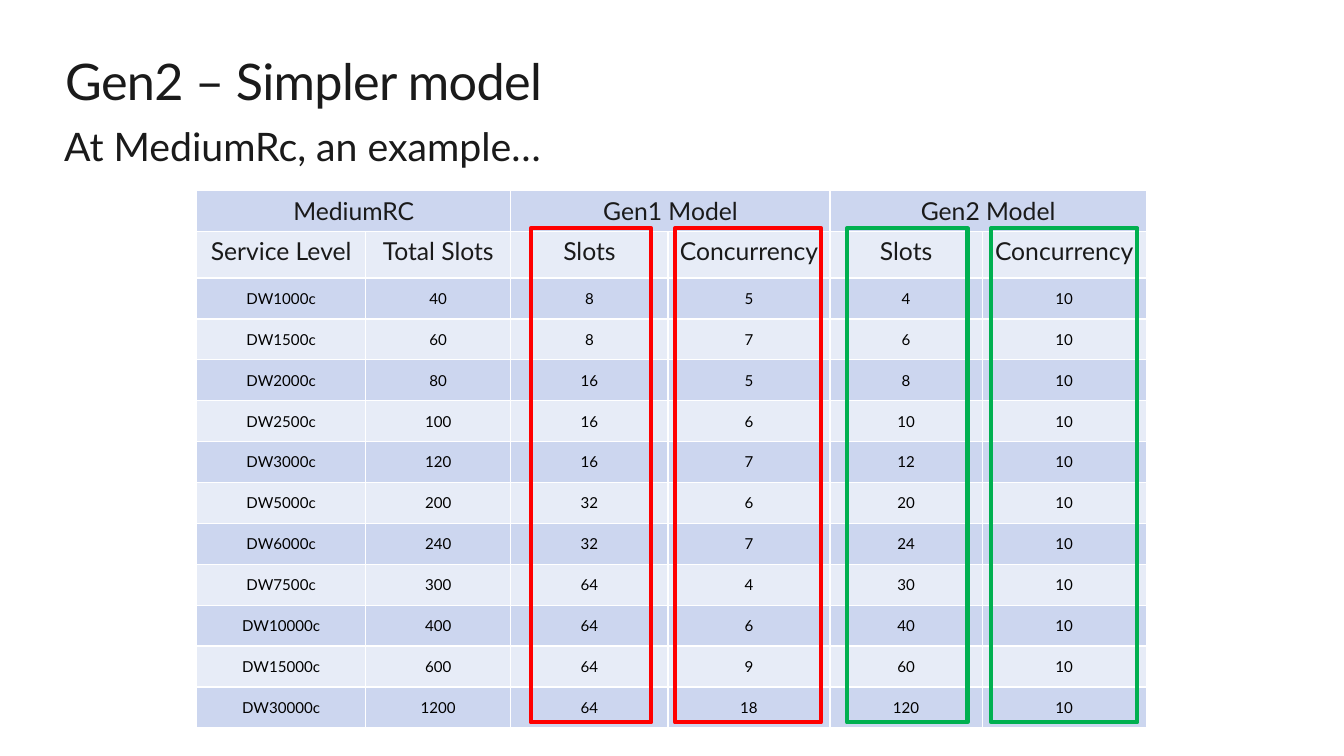
from dataclasses import dataclass

from lxml import etree
from pptx import Presentation
from pptx.dml.color import RGBColor
from pptx.enum.shapes import MSO_SHAPE
from pptx.enum.text import MSO_ANCHOR, PP_ALIGN
from pptx.oxml.ns import qn
from pptx.util import Inches, Pt

CENTER = PP_ALIGN.CENTER
TOP, MIDDLE = MSO_ANCHOR.TOP, MSO_ANCHOR.MIDDLE
RECTANGLE = MSO_SHAPE.RECTANGLE

TITLE = "Gen2 – Simpler model"
SUBTITLE = "At MediumRc, an example…"
GROUPS = ["MediumRC", "Gen1 Model", "Gen2 Model"]
HEADINGS = ["Service Level", "Total Slots", "Slots", "Concurrency", "Slots", "Concurrency"]
LEVELS = [
    ("DW1000c", 40, 8, 5, 4, 10),
    ("DW1500c", 60, 8, 7, 6, 10),
    ("DW2000c", 80, 16, 5, 8, 10),
    ("DW2500c", 100, 16, 6, 10, 10),
    ("DW3000c", 120, 16, 7, 12, 10),
    ("DW5000c", 200, 32, 6, 20, 10),
    ("DW6000c", 240, 32, 7, 24, 10),
    ("DW7500c", 300, 64, 4, 30, 10),
    ("DW10000c", 400, 64, 6, 40, 10),
    ("DW15000c", 600, 64, 9, 60, 10),
    ("DW30000c", 1200, 64, 18, 120, 10),
]


@dataclass(frozen=True)
class Theme:
    font: str = "Lato"
    ink: str = "1A1A1A"
    value_ink: str = "000000"
    bands: tuple = ("CCD6EF", "E7ECF7")
    border: str = "FFFFFF"
    gen1: str = "FF0000"
    gen2: str = "00B050"
    title_size: float = 36.7
    subtitle_size: float = 28.6
    heading_size: float = 18
    value_size: float = 11
    border_width: float = 1
    marker_width: float = 3


THEME = Theme()

# Inches
SLIDE_WIDTH, SLIDE_HEIGHT = 13.6, 7.65
TEXT_LEFT, TEXT_WIDTH = 0.65, 12.29
TABLE_LEFT, TABLE_TOP, TABLE_HEIGHT = 1.99, 1.93, 5.44
COLUMN_WIDTHS = [1.71, 1.47, 1.59, 1.64, 1.54, 1.66]
HEADING_HEIGHT = 0.47
HEADING_MARGINS = (0.1, 0.05, 0.1, 0.05)
VALUE_MARGINS = (0.01, 0.01, 0.01, 0)
MARKER_LEFT, MARKER_TOP, MARKER_HEIGHT = 5.37, 2.31, 5
GENERATION_STEP = 3.2
MARKERS = [(0, 1.22), (1.46, 1.48)]  # offset within a generation, width


def write(frame, text, size, color, margins, align=None):
    frame.margin_left, frame.margin_top, frame.margin_right, frame.margin_bottom = map(Inches, margins)
    frame.word_wrap = True
    para = frame.paragraphs[0]
    para.alignment = align
    span = para.add_run()
    span.text = text
    span.font.name = THEME.font
    span.font.size = Pt(size)
    span.font.color.rgb = RGBColor.from_string(color)
    return span


def add_line_of_text(page, text, left, top, height, size):
    box = page.shapes.add_textbox(Inches(left), Inches(top), Inches(TEXT_WIDTH), Inches(height))
    return write(box.text_frame, text, size, THEME.ink, (0, 0, 0, 0))


def style_cell(cell, band):
    """Draw the four borders, then the fill, in the order the cell schema needs."""
    properties = cell._tc.get_or_add_tcPr()
    for side in ("a:lnL", "a:lnR", "a:lnT", "a:lnB"):
        line = etree.SubElement(properties, qn(side), w=str(Pt(THEME.border_width)))
        fill = etree.SubElement(line, qn("a:solidFill"))
        etree.SubElement(fill, qn("a:srgbClr"), val=THEME.border)
    cell.fill.solid()
    cell.fill.fore_color.rgb = RGBColor.from_string(band)


def fill_cell(cell, text, is_heading):
    size, color, margins, anchor = (
        (THEME.heading_size, THEME.ink, HEADING_MARGINS, TOP) if is_heading
        else (THEME.value_size, THEME.value_ink, VALUE_MARGINS, MIDDLE)
    )
    write(cell.text_frame, text, size, color, margins, CENTER)
    cell.vertical_anchor = anchor


def add_level_table(page):
    group_row = [text for group in GROUPS for text in (group, None)]
    rows = [group_row, HEADINGS, *LEVELS]
    frame = page.shapes.add_table(
        len(rows), len(HEADINGS), Inches(TABLE_LEFT), Inches(TABLE_TOP),
        Inches(sum(COLUMN_WIDTHS)), Inches(TABLE_HEIGHT))
    table = frame.table
    table.first_row = table.horz_banding = False
    for column, width in zip(table.columns, COLUMN_WIDTHS):
        column.width = Inches(width)
    row_height = (TABLE_HEIGHT - HEADING_HEIGHT) / (len(rows) - 1)
    for r, values in enumerate(rows):
        table.rows[r].height = Inches(HEADING_HEIGHT if r == 1 else row_height)
        for c, value in enumerate(values):
            cell = table.cell(r, c)
            style_cell(cell, THEME.bands[r % 2])
            if value is not None:
                fill_cell(cell, str(value), r < 2)
    for c in range(0, len(HEADINGS), 2):
        table.cell(0, c).merge(table.cell(0, c + 1))


def add_markers(page):
    """Outline the slots and concurrency columns of each generation."""
    for offset, width in MARKERS:
        for generation, color in enumerate((THEME.gen1, THEME.gen2)):
            left = MARKER_LEFT + generation * GENERATION_STEP + offset
            marker = page.shapes.add_shape(
                RECTANGLE, Inches(left), Inches(MARKER_TOP), Inches(width), Inches(MARKER_HEIGHT))
            marker.shadow.inherit = False
            marker.fill.background()
            marker.line.color.rgb = RGBColor.from_string(color)
            marker.line.width = Pt(THEME.marker_width)
            etree.SubElement(marker.line._ln, qn("a:round"))


def main():
    deck = Presentation()
    deck.slide_width, deck.slide_height = Inches(SLIDE_WIDTH), Inches(SLIDE_HEIGHT)
    page = deck.slides.add_slide(deck.slide_layouts[6])
    title = add_line_of_text(page, TITLE, TEXT_LEFT + 0.01, 0.51, 0.62, THEME.title_size)
    title.font._element.set("spc", "-50")
    add_line_of_text(page, SUBTITLE, TEXT_LEFT, 1.24, 0.49, THEME.subtitle_size)
    add_level_table(page)
    add_markers(page)
    deck.save("out.pptx")


if __name__ == "__main__":
    main()
